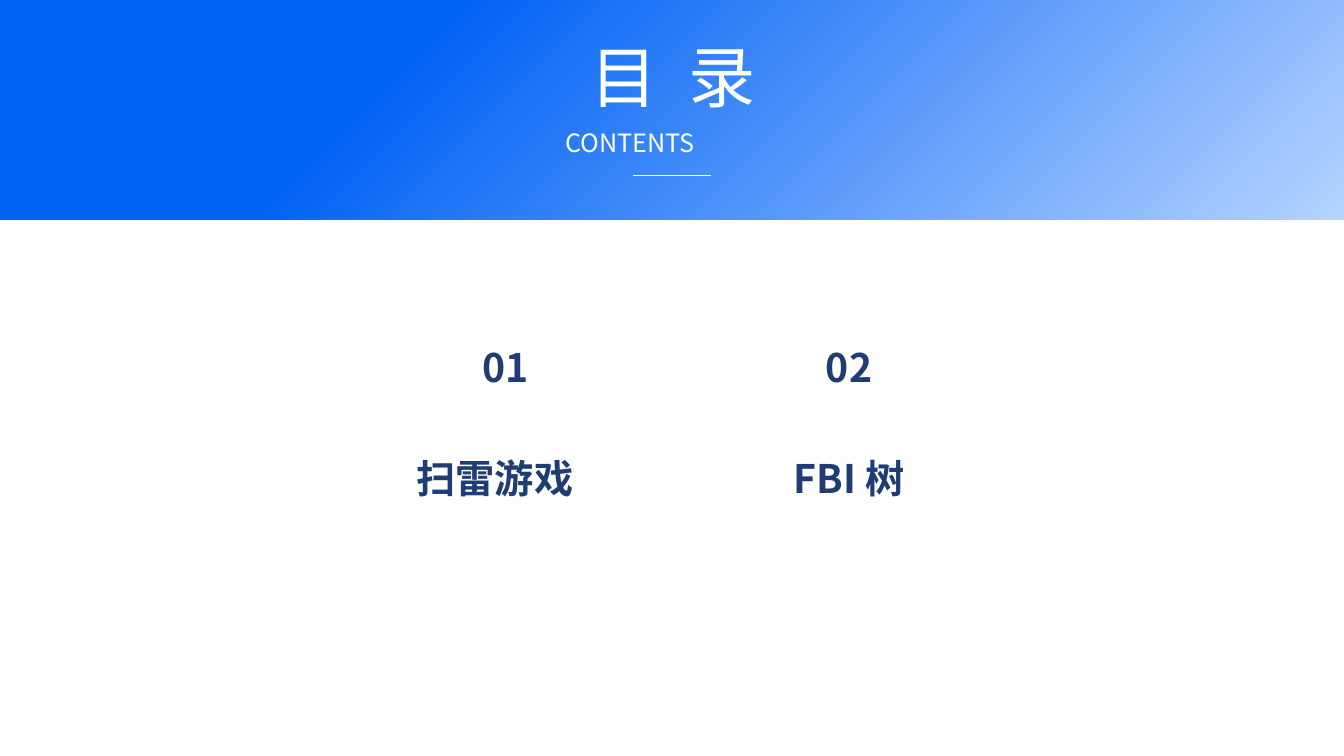
"""Build the contents slide: a gradient banner with a title above two numbered topics."""
from lxml.etree import SubElement
from pptx import Presentation
from pptx.dml.color import RGBColor
from pptx.enum.shapes import MSO_CONNECTOR, MSO_SHAPE
from pptx.enum.text import MSO_ANCHOR, PP_ALIGN
from pptx.oxml.ns import qn
from pptx.util import Pt

WHITE = RGBColor(0xFF, 0xFF, 0xFF)
NAVY = RGBColor(0x1F, 0x3D, 0x74)
BLUE = RGBColor(0x01, 0x62, 0xF5)
PALE_BLUE = RGBColor(0xB4, 0xD3, 0xFF)
FONT = "Noto Sans CJK SC"
PAGE_WIDTH = 1920


def add_text(page, text, left, top, width, height, size, color, bold=False, align=PP_ALIGN.CENTER):
    box = page.shapes.add_textbox(Pt(left), Pt(top), Pt(width), Pt(height))
    frame = box.text_frame
    frame.word_wrap = True
    frame.vertical_anchor = MSO_ANCHOR.MIDDLE
    para = frame.paragraphs[0]
    para.text = text
    para.alignment = align
    font = para.font
    font.name = FONT
    font.size = Pt(size)
    font.bold = bold
    font.color.rgb = color
    defaults = para._p.pPr.find(qn("a:defRPr"))
    SubElement(defaults, qn("a:ea")).set("typeface", FONT)


deck = Presentation()
deck.slide_width = Pt(PAGE_WIDTH)
deck.slide_height = Pt(1080)
page = deck.slides.add_slide(deck.slide_layouts[6])

banner = page.shapes.add_shape(MSO_SHAPE.ROUNDED_RECTANGLE, 0, Pt(-16.5), Pt(PAGE_WIDTH), Pt(330.5))
banner.adjustments[0] = 0
banner.shadow.inherit = False
banner.line.fill.background()
banner.fill.gradient()
banner.fill.gradient_angle = 315
for stop, position, color in zip(banner.fill.gradient_stops, (0.3, 1), (BLUE, PALE_BLUE)):
    stop.position = position
    stop.color.rgb = color

add_text(page, "目  录", 736.5, 45.5, 450, 124, 96, WHITE)
add_text(page, "CONTENTS", 800.5, 178.5, 319, 51, 36, WHITE, align=PP_ALIGN.JUSTIFY)

rule = page.shapes.add_connector(MSO_CONNECTOR.STRAIGHT, Pt(904.5), Pt(251), Pt(1016), Pt(251))
rule.line.color.rgb = WHITE
rule.line.width = Pt(1.75)
SubElement(rule._element.spPr, qn("a:effectLst"))

topics = [("01", 661, "扫雷游戏", 540), ("02", 1151.5, "FBI 树", 1046)]
for number, number_left, title, title_left in topics:
    add_text(page, number, number_left, 486.5, 123, 75, 56, NAVY, bold=True)
    add_text(page, title, title_left, 644.5, 334, 75, 56, NAVY, bold=True)

deck.save("out.pptx")
